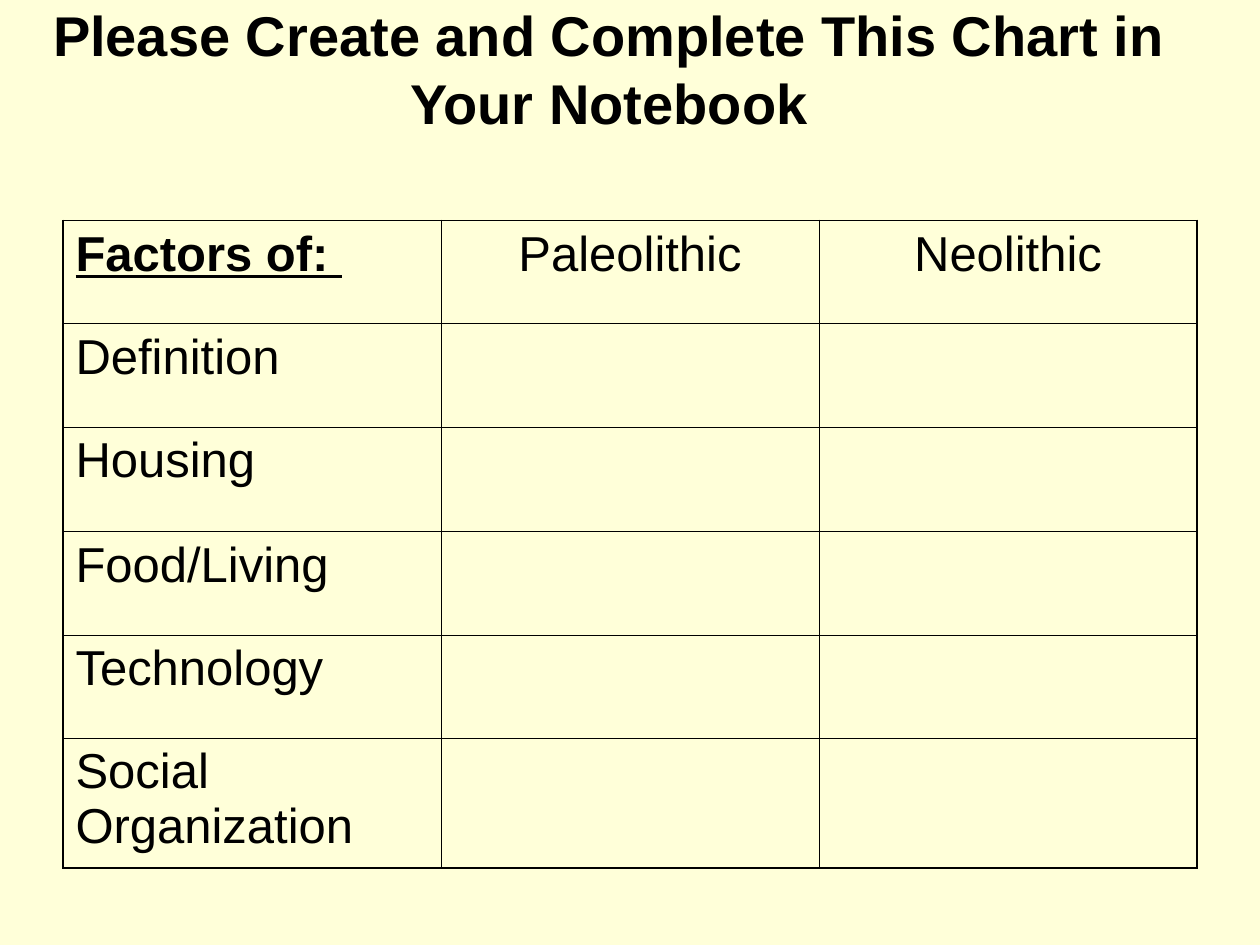
from lxml.etree import SubElement
from pptx import Presentation
from pptx.dml.color import RGBColor
from pptx.enum.text import MSO_ANCHOR, MSO_AUTO_SIZE, PP_ALIGN
from pptx.oxml.ns import qn
from pptx.util import Inches, Pt

TITLE = "Please Create and Complete This Chart in Your Notebook"
ROWS = [
    ("Factors of: ", "Paleolithic", "Neolithic"),
    ("Definition", "", ""),
    ("Housing", "", ""),
    ("Food/Living", "", ""),
    ("Technology", "", ""),
    ("Social Organization", "", ""),
]
HIGH = [0.82, 0.82, 0.83, 0.82, 0.82, 1.03]
WIDE = [3, 3, 3]
INK, PAPER = "000000", "FFFFD9"
THICK, THIN = 1.08, 0.45


def tint(fill, code):
    fill.solid()
    fill.fore_color.rgb = RGBColor.from_string(code)


def style(para, size, bold=False):
    font = para.font
    font.name, font.size, font.bold = "Arial", Pt(size), bold
    tint(font.fill, INK)


def edge(cell, side, width):
    line = SubElement(cell._tc.get_or_add_tcPr(), qn("a:ln" + side), w=str(Pt(width)))
    fill = SubElement(line, qn("a:solidFill"))
    SubElement(fill, qn("a:srgbClr"), val=INK)


deck = Presentation()
deck.slide_width, deck.slide_height = Inches(10), Inches(7.5)
slide = deck.slides.add_slide(deck.slide_layouts[5])
tint(slide.background.fill, PAPER)

title = slide.shapes.title
title.left, title.top = Inches(0.17), Inches(0)
title.width, title.height = Inches(9.33), Inches(1.08)
frame = title.text_frame
frame.text = TITLE
frame.word_wrap = True
frame.auto_size = MSO_AUTO_SIZE.NONE
frame.vertical_anchor = MSO_ANCHOR.MIDDLE
head = frame.paragraphs[0]
head.alignment = PP_ALIGN.CENTER
style(head, 32, True)

table = slide.shapes.add_table(
    len(ROWS), len(WIDE), Inches(0.5), Inches(1.75), Inches(sum(WIDE)), Inches(sum(HIGH))
).table
table.first_row = table.horz_banding = False
for col, wide in zip(table.columns, WIDE):
    col.width = Inches(wide)
for row, high in zip(table.rows, HIGH):
    row.height = Inches(high)

for r, words in enumerate(ROWS):
    for c, word in enumerate(words):
        cell = table.cell(r, c)
        cell.text = word
        para = cell.text_frame.paragraphs[0]
        para.alignment = PP_ALIGN.CENTER if c else PP_ALIGN.LEFT
        corner = r == c == 0
        style(para, 28, corner)
        para.font.underline = corner
        outer = {
            "L": c == 0,
            "R": c == len(WIDE) - 1,
            "T": r == 0,
            "B": r == len(ROWS) - 1,
        }
        for side, rim in outer.items():
            edge(cell, side, THICK if rim else THIN)
        tint(cell.fill, PAPER)

deck.save("out.pptx")
